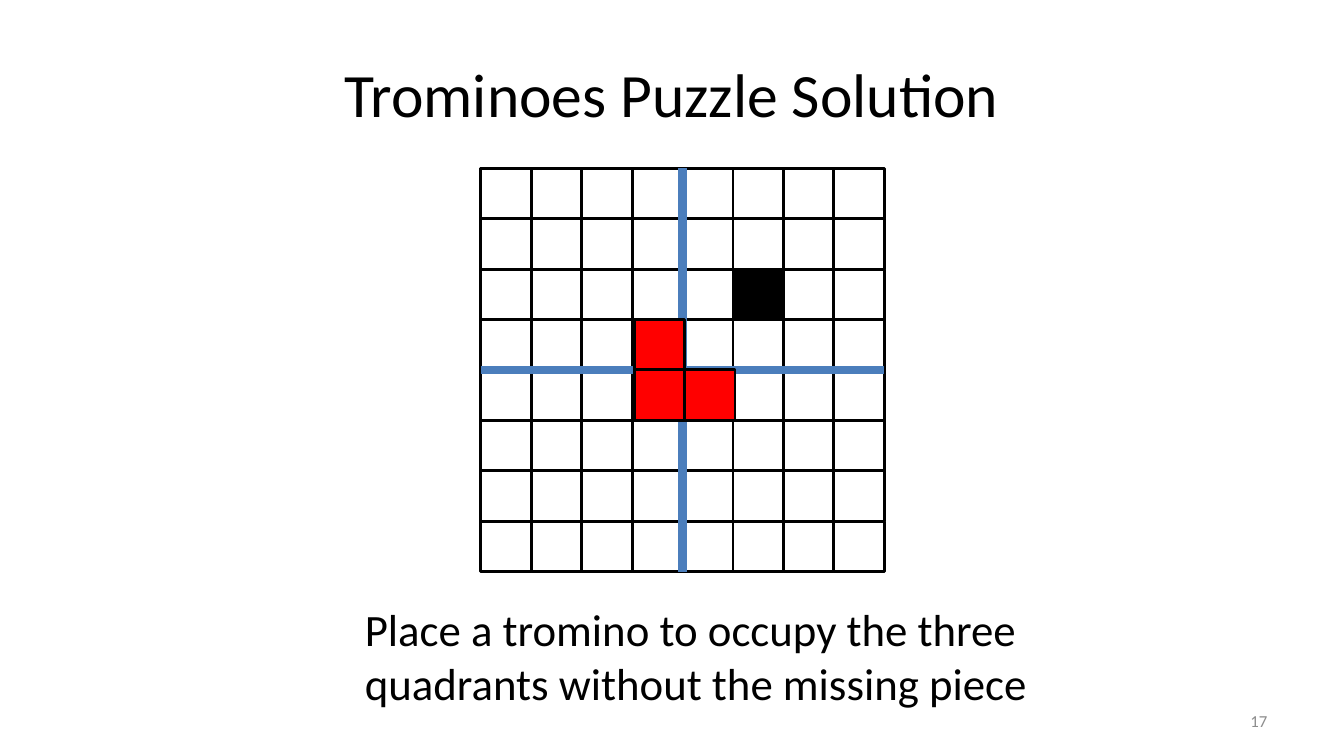
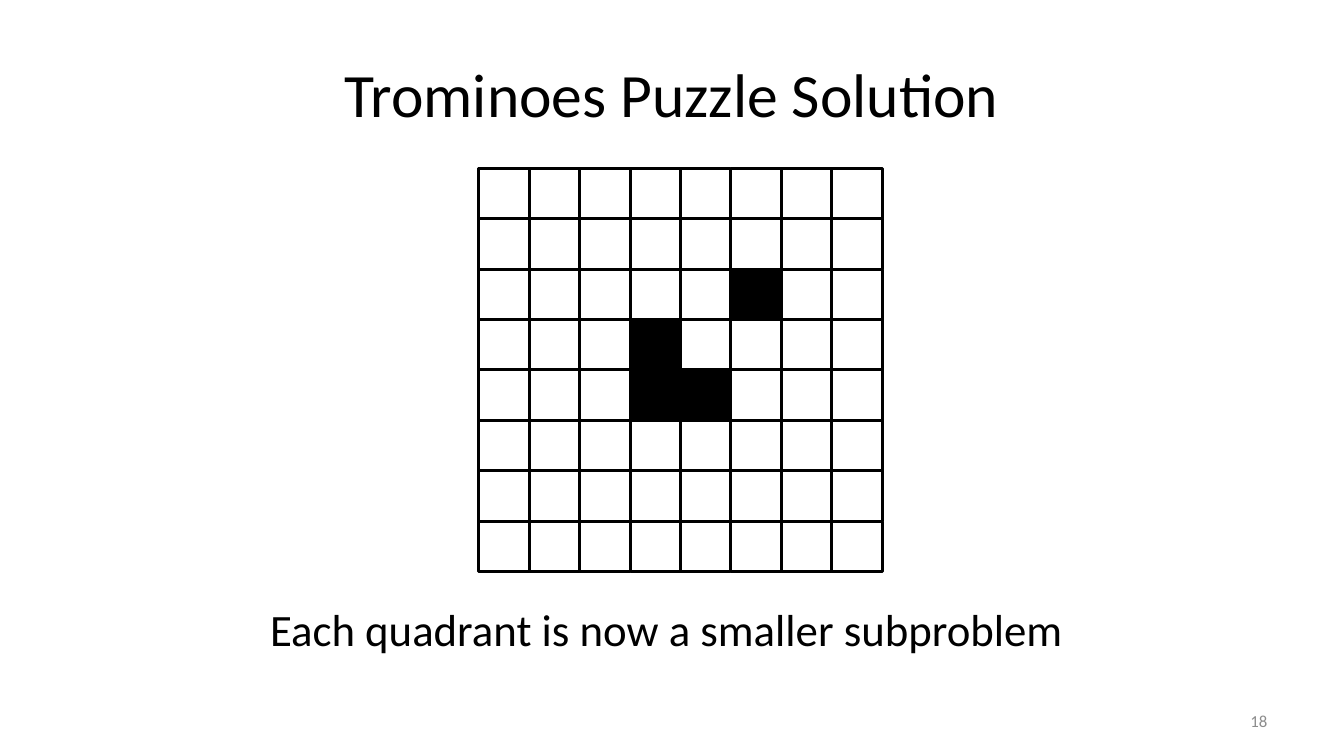
from dataclasses import dataclass
from itertools import product

import pptx
import pptx.dml.color
import pptx.enum.shapes
import pptx.enum.text
import pptx.oxml.ns
import pptx.shapes.shapetree
import pptx.slide
import pptx.text.text
import pptx.util
from lxml import etree

ALIGN = pptx.enum.text.PP_ALIGN
ANCHOR = pptx.enum.text.MSO_ANCHOR
Inches = pptx.util.Inches
Cell = tuple[int, int]  # column, row


@dataclass(frozen=True)
class Theme:
    font: str = "Calibri"
    ink: str = "000000"
    muted: str = "8C8C8C"
    divider: str = "4B7EBC"
    tromino: str = "FF0000"
    title_size: float = 44
    caption_size: float = 32
    number_size: float = 12
    grid_line: float = 2
    divider_line: float = 6


@dataclass(frozen=True)
class Box:
    left: float
    top: float
    width: float
    height: float

    def emu(self) -> tuple[int, int, int, int]:
        return tuple(Inches(v) for v in (self.left, self.top, self.width, self.height))


@dataclass(frozen=True)
class Board:
    """A square board, grouped in blocks of block x block cells."""
    left: float
    block: int
    filled: tuple[Cell, ...]
    top: float = 1.67
    cell: float = 0.5
    size: int = 8

    def x(self, col: float) -> float:
        return self.left + col * self.cell

    def y(self, row: float) -> float:
        return self.top + row * self.cell


@dataclass(frozen=True)
class PuzzleStep:
    number: int
    board: Board
    caption: str
    caption_box: Box
    tromino: tuple[Cell, ...] = ()
    divided: bool = False


THEME = Theme()
SLIDE_W, SLIDE_H = 13.33, 7.5
TITLE = "Trominoes Puzzle Solution"
TITLE_BOX = Box(SLIDE_W * 0.05, SLIDE_H * 0.04, SLIDE_W * 0.9, 1.25)
NUMBER_BOX = Box(9.56, 6.95, 3.11, 0.4)
TROMINO_SHIFT = 0.04  # in cells, to the right of the grid

MISSING: Cell = (5, 2)
CENTRE: tuple[Cell, ...] = ((4, 4), (3, 4), (3, 3))
STEPS = (
    PuzzleStep(17, Board(4.77, 8, (MISSING,)),
               "Place a tromino to occupy the three quadrants without the missing piece",
               Box(3.52, 5.92, 7.01, 1.18), tromino=CENTRE, divided=True),
    PuzzleStep(18, Board(4.75, 4, (MISSING, *CENTRE)),
               "Each quadrant is now a smaller subproblem",
               Box(2.58, 5.92, 8.17, 0.64)),
)


def rgb(value: str) -> pptx.dml.color.RGBColor:
    return pptx.dml.color.RGBColor.from_string(value)


def write(tf: pptx.text.text.TextFrame, text: str, *, size: float,
          color: str = THEME.ink, align: ALIGN = ALIGN.LEFT,
          anchor: ANCHOR = ANCHOR.TOP) -> None:
    tf.word_wrap = True
    tf.auto_size = pptx.enum.text.MSO_AUTO_SIZE.NONE
    tf.vertical_anchor = anchor
    p = tf.paragraphs[0]
    p.alignment = align
    r = p.add_run()
    r.text = text
    r.font.name = THEME.font
    r.font.size = pptx.util.Pt(size)
    r.font.color.rgb = rgb(color)


def add_cells(slide: pptx.slide.Slide, board: Board, cells: list[Cell],
              fills: dict[Cell, str], shift: float = 0) -> None:
    """Draw cells as one group; cells without a fill stay open."""
    group = slide.shapes.add_group_shape()
    for col, row in cells:
        box = Box(board.x(col + shift), board.y(row), board.cell, board.cell)
        sp = group.shapes.add_shape(pptx.enum.shapes.MSO_SHAPE.RECTANGLE, *box.emu())
        sp.shadow.inherit = False
        sp.line.color.rgb = rgb(THEME.ink)
        sp.line.width = pptx.util.Pt(THEME.grid_line)
        if (col, row) in fills:
            sp.fill.solid()
            sp.fill.fore_color.rgb = rgb(fills[col, row])
        else:
            sp.fill.background()


def add_board(slide: pptx.slide.Slide, board: Board) -> None:
    fills = dict.fromkeys(board.filled, THEME.ink)
    starts = range(0, board.size, board.block)
    for row0, col0 in product(starts, starts):
        cells = [(col0 + col, row0 + row)
                 for row, col in product(range(board.block), repeat=2)]
        add_cells(slide, board, cells, fills)


def add_dividers(slide: pptx.slide.Slide, board: Board) -> None:
    """Split the board into quadrants."""
    half, end = board.size / 2, board.size
    for c1, r1, c2, r2 in ((half, 0, half, end), (end, half, 0, half)):
        line = slide.shapes.add_connector(
            pptx.enum.shapes.MSO_CONNECTOR.STRAIGHT,
            Inches(board.x(c1)), Inches(board.y(r1)),
            Inches(board.x(c2)), Inches(board.y(r2)))
        line.line.color.rgb = rgb(THEME.divider)
        line.line.width = pptx.util.Pt(THEME.divider_line)
        etree.SubElement(line._element.spPr, pptx.oxml.ns.qn("a:effectLst"))


def add_step(prs: pptx.presentation.Presentation, step: PuzzleStep) -> None:
    slide = prs.slides.add_slide(prs.slide_layouts[5])  # title only

    # Title
    title = slide.shapes.title
    title.left, title.top, title.width, title.height = TITLE_BOX.emu()
    write(title.text_frame, TITLE, size=THEME.title_size,
          align=ALIGN.CENTER, anchor=ANCHOR.MIDDLE)

    # Board, with its dividers and tromino on top
    add_board(slide, step.board)
    if step.divided:
        add_dividers(slide, step.board)
    if step.tromino:
        add_cells(slide, step.board, list(step.tromino),
                  dict.fromkeys(step.tromino, THEME.tromino), TROMINO_SHIFT)

    # Caption and slide number
    caption = slide.shapes.add_textbox(*step.caption_box.emu())
    write(caption.text_frame, step.caption, size=THEME.caption_size)
    number = slide.shapes.add_textbox(*NUMBER_BOX.emu())
    write(number.text_frame, str(step.number), size=THEME.number_size,
          color=THEME.muted, align=ALIGN.RIGHT, anchor=ANCHOR.MIDDLE)


def main() -> None:
    prs = pptx.Presentation()
    prs.slide_width, prs.slide_height = Inches(SLIDE_W), Inches(SLIDE_H)
    for step in STEPS:
        add_step(prs, step)
    prs.save("out.pptx")


if __name__ == "__main__":
    main()
